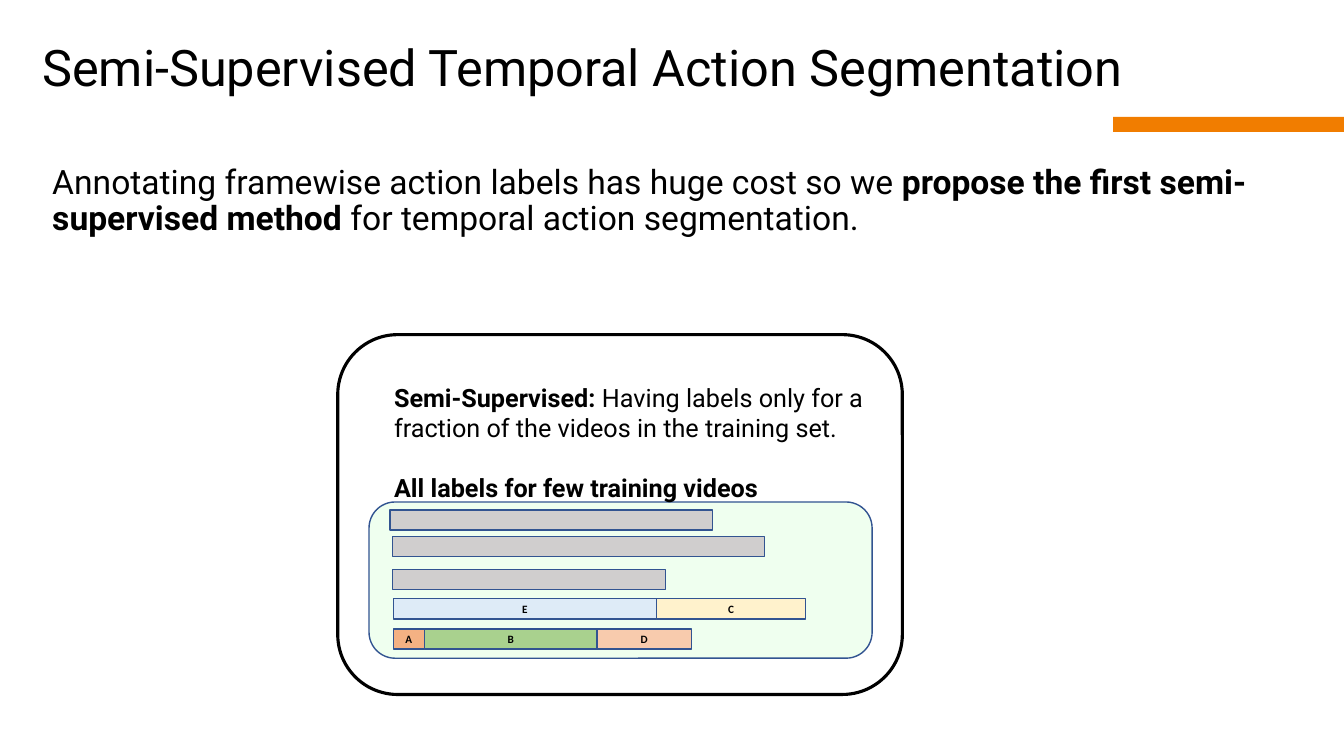
from dataclasses import dataclass

from pptx import Presentation
from pptx.dml.color import RGBColor
from pptx.enum import shapes, text
from pptx.util import Inches, Pt


@dataclass(frozen=True)
class Theme:
    """Colours, fonts and type sizes of the slide."""
    ink: str = "000000"
    accent: str = "F17D00"
    outline: str = "325491"
    panel: str = "EFFFEF"
    unlabelled: str = "D0CECE"
    font: str = "Roboto"
    bar_font: str = "Calibri"
    title: int = 36
    body: int = 24
    caption: int = 18
    bar: int = 8


THEME = Theme()
RECT = shapes.MSO_SHAPE.RECTANGLE
ROUNDED = shapes.MSO_SHAPE.ROUNDED_RECTANGLE
BAR_HEIGHT = 0.2
UNLABELLED = [(0.21, 0.08, 3.2), (0.23, 0.34, 3.69), (0.23, 0.67, 2.71)]
LABELLED = [
    (0.96, [("E", 2.61, "DEEBF7"), ("C", 1.48, "FFF2CC")]),
    (1.26, [("A", 0.31, "F4B183"), ("B", 1.71, "A9D18E"), ("D", 0.94, "F8CBAD")]),
]


def write(sp, paragraphs, size, font=THEME.font, align=None, anchor=text.MSO_ANCHOR.TOP,
          inset=None, line_spacing=None, gap=0):
    """Fill a shape with paragraphs given as lists of (text, bold) runs."""
    tf = sp.text_frame
    tf.word_wrap = True
    tf.vertical_anchor = anchor
    if inset is not None:
        tf.margin_left = tf.margin_top = tf.margin_right = tf.margin_bottom = Inches(inset)
    for i, runs in enumerate(paragraphs):
        p = tf.add_paragraph() if i else tf.paragraphs[0]
        p.alignment = align
        p.line_spacing = line_spacing
        if i:
            p.space_before = Pt(gap)
        for words, bold in runs:
            r = p.add_run()
            r.text = words
            r.font.size = Pt(size)
            r.font.name = font
            r.font.bold = bold
            r.font.color.rgb = RGBColor.from_string(THEME.ink)


def add_text(s, box, paragraphs, size, **fmt):
    """Add a text box and write into it."""
    write(s.shapes.add_textbox(*map(Inches, box)), paragraphs, size, **fmt)


def add_box(s, kind, box, fill=None, line=None, width=1):
    """Add a preset shape with an optional fill and outline."""
    sp = s.shapes.add_shape(kind, *map(Inches, box))
    sp.shadow.inherit = False
    if fill:
        sp.fill.solid()
        sp.fill.fore_color.rgb = RGBColor.from_string(fill)
    else:
        sp.fill.background()
    if line:
        sp.line.color.rgb = RGBColor.from_string(line)
        sp.line.width = Pt(width)
    else:
        sp.line.fill.background()
    return sp


def add_header(s, box):
    """Place the title and the accent strip below its right end."""
    x, y, w, h = box
    add_box(s, RECT, (x + 10.62, y + 1, 2.3, 0.15), THEME.accent)
    add_text(s, box, [[("Semi-Supervised Temporal Action Segmentation", False)]], THEME.title,
             anchor=text.MSO_ANCHOR.MIDDLE, inset=0, line_spacing=0.9)


def add_statement(s, box):
    """Place the main statement."""
    runs = [("Annotating framewise action labels has huge cost so we ", False),
            ("propose the first semi-supervised method ", True),
            ("for temporal action segmentation.", False)]
    add_text(s, box, [runs], THEME.body, line_spacing=0.9)


def add_videos(s, box):
    """Draw the panel of unlabelled and labelled training videos."""
    x, y, w, h = box
    add_box(s, ROUNDED, box, THEME.panel, THEME.outline)
    for dx, dy, length in UNLABELLED:
        add_box(s, RECT, (x + dx, y + dy, length, BAR_HEIGHT), THEME.unlabelled, THEME.outline)
    for dy, actions in LABELLED:
        left = x + 0.24
        for name, length, fill in actions:
            sp = add_box(s, RECT, (left, y + dy, length, BAR_HEIGHT), fill, THEME.outline)
            write(sp, [[(name, True)]], THEME.bar, font=THEME.bar_font, inset=0,
                  align=text.PP_ALIGN.CENTER, anchor=text.MSO_ANCHOR.MIDDLE)
            left += length


def add_definition(s, box):
    """Draw the framed definition with its example videos."""
    x, y, w, h = box
    add_videos(s, (x + 0.31, y + 1.66, 4.99, 1.55))
    add_text(s, (x + 0.46, y + 0.42, 4.99, 1.31), [
        [("Semi-Supervised: ", True),
         ("Having labels only for a fraction of the videos in the training set.", False)],
        [("All labels for few training videos", True)],
    ], THEME.caption, gap=21.5)
    add_box(s, ROUNDED, box, line=THEME.ink, width=2.25)


def main():
    """Build and save the slide."""
    prs = Presentation()
    prs.slide_width, prs.slide_height = Inches(13.33), Inches(7.5)
    s = prs.slides.add_slide(prs.slide_layouts[6])
    add_header(s, (0.42, 0.16, 11.57, 1.08))
    add_statement(s, (0.42, 1.59, 12.63, 0.89))
    add_definition(s, (3.35, 3.32, 5.6, 3.57))
    prs.save("out.pptx")


if __name__ == "__main__":
    main()
